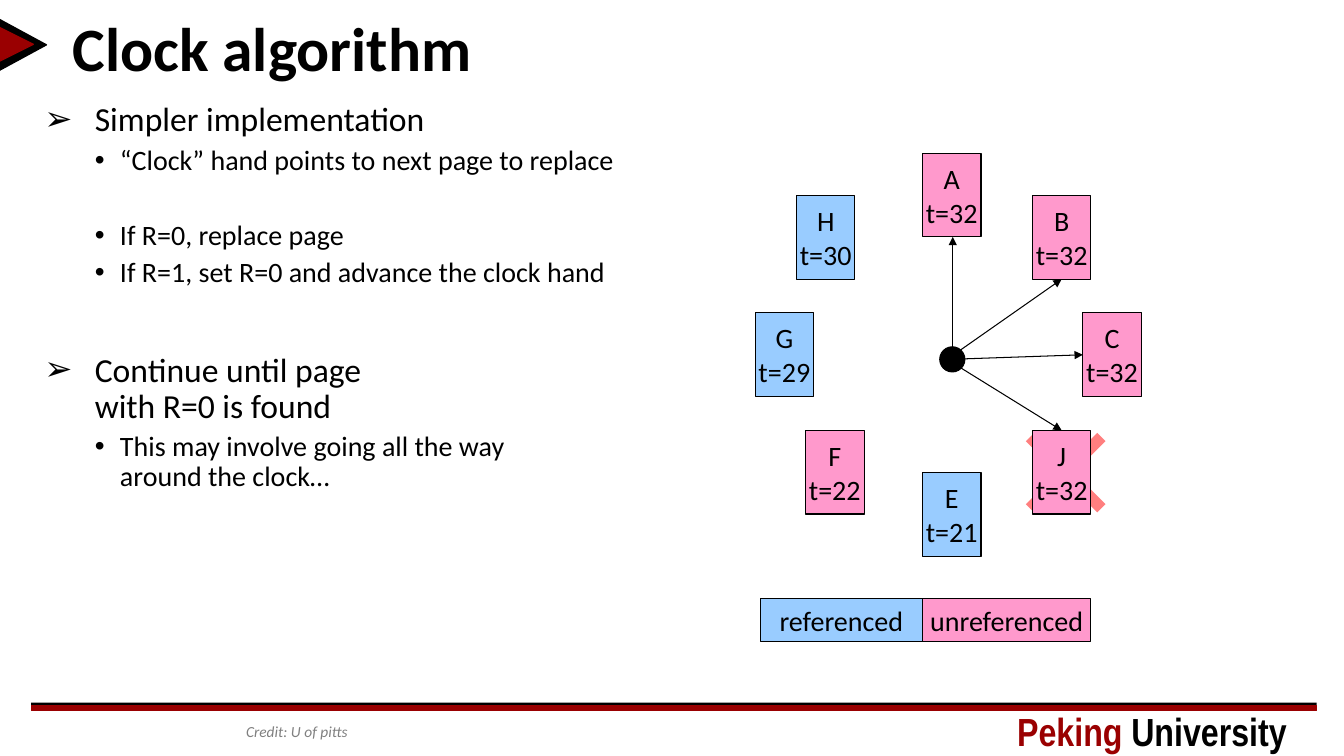
import pptx
import pptx.util
import pptx.dml.color
import pptx.enum.shapes
import pptx.enum.text
import pptx.oxml.ns
import lxml.etree
from dataclasses import dataclass

Inches = pptx.util.Inches
Pt = pptx.util.Pt
Shape = pptx.enum.shapes.MSO_SHAPE
Align = pptx.enum.text.PP_ALIGN
Anchor = pptx.enum.text.MSO_ANCHOR


@dataclass(frozen=True)
class Theme:
    font: str = "Calibri"
    brand_font: str = "Arial Narrow"
    ink: str = "000000"
    red: str = "9A0001"
    gray: str = "808080"
    blue: str = "99CCFF"
    pink: str = "FF99CC"
    cross: str = "FF0000"
    title: int = 44
    brand: int = 28
    head: int = 24
    text: int = 20
    note: int = 11
    thin: float = 0.75


def color(code):
    return pptx.dml.color.RGBColor.from_string(code)


def add_tag(parent, name, **attrs):
    tag = lxml.etree.SubElement(parent, pptx.oxml.ns.qn(name))
    for key, value in attrs.items():
        tag.set(key, str(value))
    return tag


class Board:
    def __init__(self, slide, theme):
        self.slide = slide
        self.theme = theme

    def add_text(self, para, text, size, code=None, font=None, bold=False, italic=False):
        """Add text as runs, with a line break at each newline."""
        for row, line in enumerate(text.split("\n")):
            if row:
                para.add_line_break()
            run = para.add_run()
            run.text = line
            run.font.size = Pt(size)
            run.font.name = font or self.theme.font
            run.font.bold = bold
            run.font.italic = italic
            run.font.color.rgb = color(code or self.theme.ink)

    def place(self, index, box, anchor):
        """Move a placeholder and return its text frame."""
        holder = self.slide.placeholders[index]
        holder.left, holder.top, holder.width, holder.height = map(Inches, box)
        frame = holder.text_frame
        frame.word_wrap = True
        frame.auto_size = pptx.enum.text.MSO_AUTO_SIZE.NONE
        frame.vertical_anchor = anchor
        return frame

    def title(self, text, box):
        para = self.place(0, box, Anchor.MIDDLE).paragraphs[0]
        para.alignment = Align.LEFT
        para.line_spacing = 0.9
        self.add_text(para, text, self.theme.title, bold=True)

    def list(self, items, box):
        """Fill the body with (level, space before, text) items."""
        frame = self.place(1, box, Anchor.TOP)
        marks = [("➢", 0.5, 0.5, self.theme.head), ("•", 0.75, 0.25, self.theme.text)]
        for row, (level, gap, text) in enumerate(items):
            para = frame.add_paragraph() if row else frame.paragraphs[0]
            mark, left, hang, size = marks[level]
            props = para._p.get_or_add_pPr()
            props.set("marL", str(Inches(left)))
            props.set("indent", str(-Inches(hang)))
            add_tag(props, "a:buFont", typeface="Arial")
            add_tag(props, "a:buChar", char=mark)
            para.level = level
            para.line_spacing = 0.9
            para.space_before = Pt(gap)
            self.add_text(para, text, size)

    def note(self, text, box):
        frame = self.place(2, box, Anchor.MIDDLE)
        frame.margin_left = frame.margin_right = 0
        frame.margin_top = frame.margin_bottom = 0
        para = frame.paragraphs[0]
        props = para._p.get_or_add_pPr()
        props.set("marL", "0")
        props.set("indent", "0")
        add_tag(props, "a:buNone")
        para.line_spacing = 0.8
        para.space_before = Pt(0)
        self.add_text(para, text, self.theme.note, self.theme.gray, italic=True)

    def brand(self, parts, box):
        frame = self.slide.shapes.add_textbox(*map(Inches, box)).text_frame
        frame.word_wrap = True
        for text, code in parts:
            self.add_text(frame.paragraphs[0], text, self.theme.brand, code,
                          self.theme.brand_font, bold=True)

    def shape(self, kind, box, fill, edge=None, width=1, turn=0):
        shape = self.slide.shapes.add_shape(kind, *map(Inches, box))
        shape.shadow.inherit = False
        shape.rotation = turn
        shape.fill.solid()
        shape.fill.fore_color.rgb = color(fill)
        if edge:
            shape.line.color.rgb = color(edge)
            shape.line.width = Pt(width)
        else:
            shape.line.fill.background()
        return shape

    def label(self, text, box, fill):
        shape = self.shape(Shape.RECTANGLE, box, fill, self.theme.ink, self.theme.thin)
        frame = shape.text_frame
        frame.word_wrap = False
        frame.vertical_anchor = Anchor.MIDDLE
        para = frame.paragraphs[0]
        para.alignment = Align.CENTER
        self.add_text(para, text, self.theme.text)

    def cross(self, box):
        shape = self.shape(Shape.CROSS, box, self.theme.cross, turn=45)
        shape.adjustments[0] = 0.442
        tint = shape._element.spPr.find(".//" + pptx.oxml.ns.qn("a:srgbClr"))
        add_tag(tint, "a:alpha", val=50000)

    def arrow(self, start, end):
        line = self.slide.shapes.add_connector(
            pptx.enum.shapes.MSO_CONNECTOR.STRAIGHT, *map(Inches, start + end))
        line.line.color.rgb = color(self.theme.ink)
        line.line.width = Pt(self.theme.thin)
        add_tag(line.get_or_add_ln(), "a:tailEnd", type="triangle")
        add_tag(line._element.spPr, "a:effectLst")


def main():
    deck = pptx.Presentation()
    deck.slide_width, deck.slide_height = Inches(13.33), Inches(7.5)
    theme = Theme()
    board = Board(deck.slides.add_slide(deck.slide_layouts[3]), theme)

    board.shape(Shape.RECTANGLE, (0.31, 6.97, 12.75, 0.03), theme.ink)
    board.shape(Shape.RECTANGLE, (0.31, 7, 12.75, 0.05), theme.red, theme.red)
    for box, fill in [((-0.03, 0.21, 0.51, 0.47), theme.ink),
                      ((-0.01, 0.27, 0.34, 0.34), theme.red)]:
        board.shape(Shape.ISOSCELES_TRIANGLE, box, fill, fill, turn=90)
    board.brand([("Peking ", theme.red), ("University", theme.ink)],
                (9.99, 6.97, 3.16, 0.57))

    board.title("Clock algorithm", (0.62, 0.15, 12.41, 0.73))
    board.list([
        (0, 0, "Simpler implementation"),
        (1, 5, "“Clock” hand points to next page to replace"),
        (1, 32, "If R=0, replace page"),
        (1, 5, "If R=1, set R=0 and advance the clock hand"),
        (0, 46, "Continue until page\nwith R=0 is found"),
        (1, 5, "This may involve going all the way\naround the clock…"),
    ], (0.34, 0.97, 12.69, 5.83))
    board.note("Credit: U of pitts", (2.44, 7.05, 8.77, 0.45))

    wide, high = 0.58, 0.83
    pages = [
        ("A", 32, 9.15, 1.52, theme.pink), ("B", 32, 10.24, 1.94, theme.pink),
        ("C", 32, 10.74, 3.1, theme.pink), ("J", 32, 10.24, 4.27, theme.pink),
        ("E", 21, 9.15, 4.69, theme.blue), ("F", 22, 7.99, 4.27, theme.pink),
        ("G", 29, 7.49, 3.1, theme.blue), ("H", 30, 7.9, 1.94, theme.blue),
    ]
    board.cross((10.07, 4.19, 1, 1))
    for name, time, left, top, fill in pages:
        board.label(f"{name}\nt={time}", (left, top, wide, high), fill)

    board.shape(Shape.OVAL, (9.32, 3.44, 0.25, 0.25), theme.ink, theme.ink, theme.thin)
    for start, end in [((9.45, 3.44), (9.45, 2.35)), ((9.53, 3.47), (10.53, 2.77)),
                       ((9.57, 3.56), (10.74, 3.52)), ((9.53, 3.65), (10.53, 4.27))]:
        board.arrow(start, end)

    board.label("referenced", (7.54, 5.94, 1.61, 0.42), theme.blue)
    board.label("unreferenced", (9.15, 5.94, 1.67, 0.42), theme.pink)
    deck.save("out.pptx")


if __name__ == "__main__":
    main()
